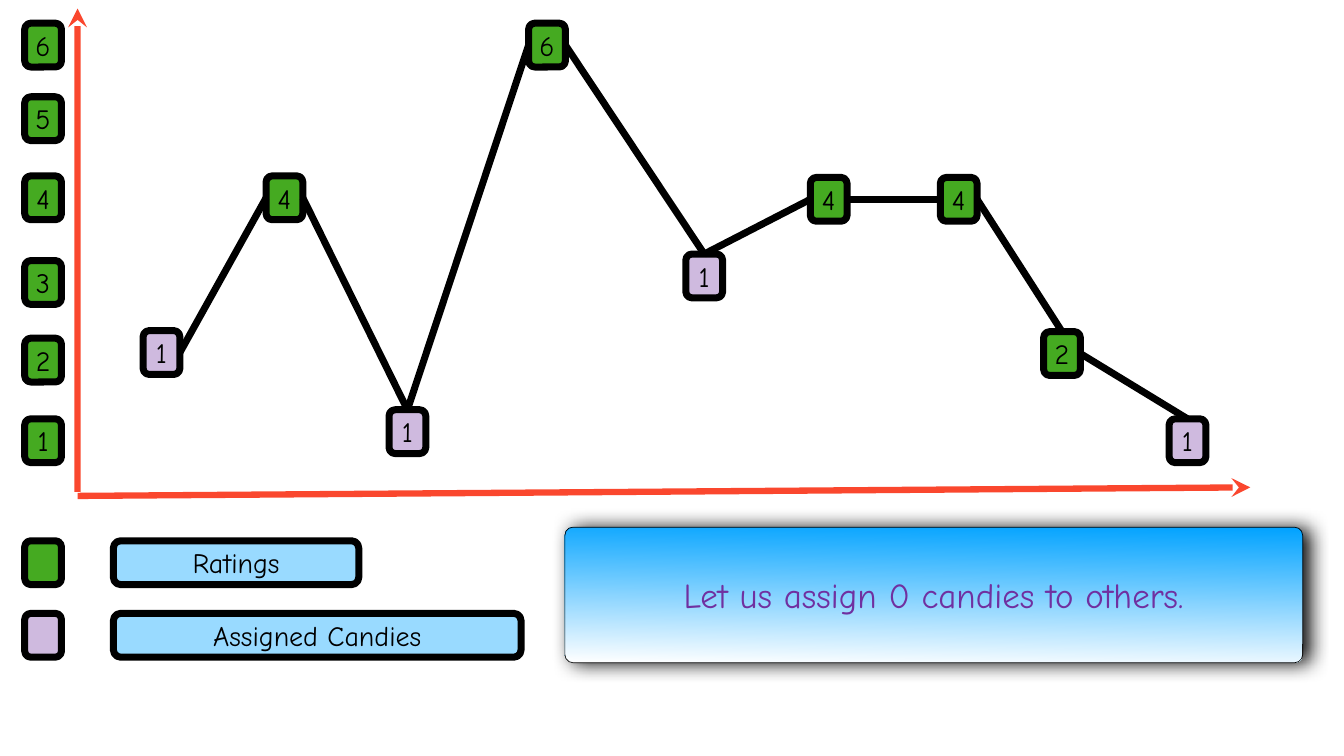
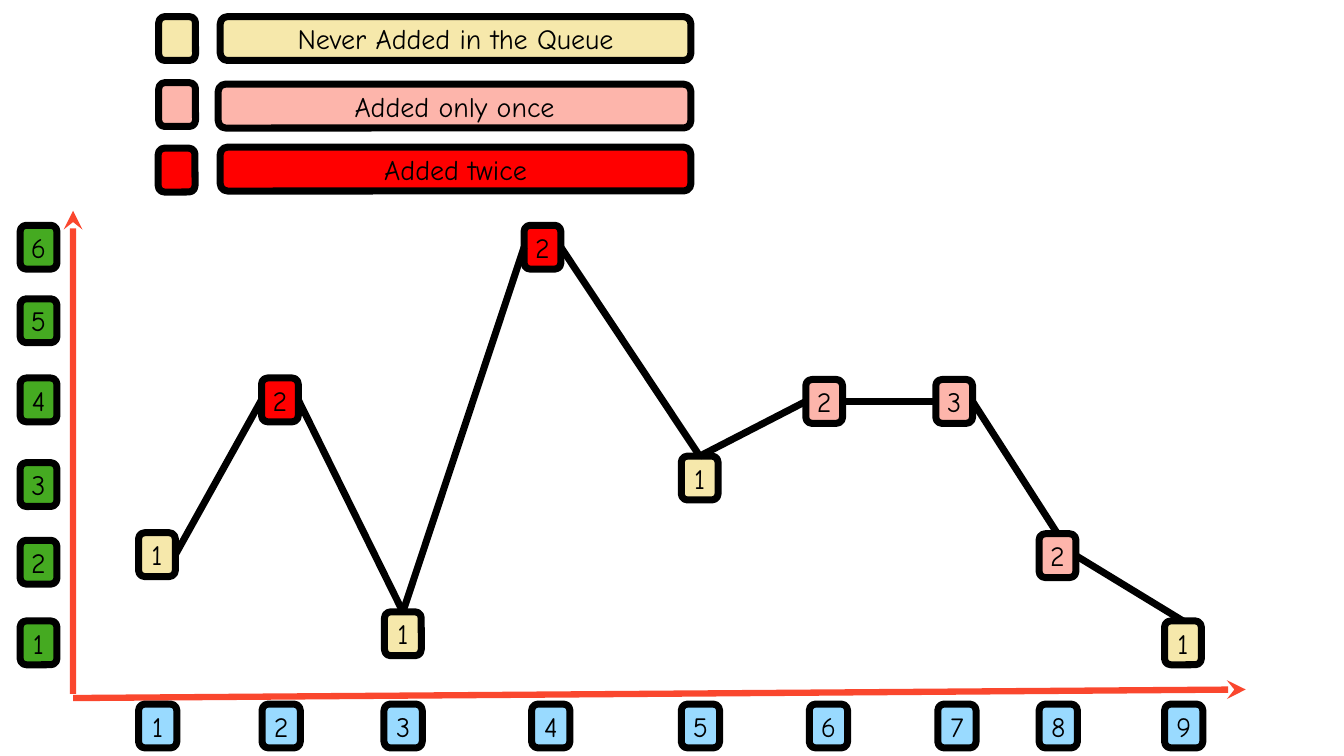
from dataclasses import dataclass
from enum import IntEnum
from typing import NamedTuple

from lxml.etree import SubElement
from pptx import Presentation
from pptx.dml.color import RGBColor
from pptx.enum.shapes import MSO_CONNECTOR, MSO_SHAPE
from pptx.enum.text import MSO_ANCHOR, MSO_AUTO_SIZE, PP_ALIGN
from pptx.oxml.ns import qn
from pptx.shapes.autoshape import Shape
from pptx.shapes.connector import Connector
from pptx.slide import Slide
from pptx.util import Inches, Pt

# Colours
BLACK = RGBColor(0x00, 0x00, 0x00)
WHITE = RGBColor(0xFF, 0xFF, 0xFF)
GREEN = RGBColor(0x45, 0xAA, 0x21)
PURPLE = RGBColor(0x70, 0x30, 0xA0)
SKY = RGBColor(0x99, 0xDA, 0xFF)
BLUE = RGBColor(0x00, 0xA2, 0xFF)
GOLD = RGBColor(0xE5, 0xBA, 0x00)
ORANGE_RED = RGBColor(0xFA, 0x1F, 0x00)
RED = RGBColor(0xFF, 0x00, 0x00)

FONT = "Comic Neue"
TILE_WIDTH, TILE_HEIGHT = 0.73, 0.87
INSET = Inches(0.06)


class Paint(NamedTuple):
    color: RGBColor
    opacity: int = 100


RATING = Paint(GREEN)
CANDY = Paint(PURPLE, 33)
LABEL = Paint(SKY)
NEVER = Paint(GOLD, 33)
ONCE = Paint(ORANGE_RED, 33)
TWICE = Paint(RED)
AXIS = Paint(ORANGE_RED, 82)
INK = Paint(BLACK)


class Side(IntEnum):
    """Connection sites of a rounded rectangle."""
    TOP = 0
    LEFT = 1
    RIGHT = 3


class Point(NamedTuple):
    x: float
    y: float


class Link(NamedTuple):
    start: int
    start_side: Side
    end: int
    end_side: Side


class Child(NamedTuple):
    value: str
    paint: Paint


@dataclass(frozen=True)
class LegendEntry:
    text: str
    key_paint: Paint
    label_paint: Paint
    key: Point
    label: Point
    label_width: float


# Rating graph, placed relative to the first slide
CHILD_POINTS = [
    Point(2.84, 6.56), Point(5.28, 3.49), Point(7.72, 8.13),
    Point(10.49, 0.46), Point(13.61, 5.04), Point(16.08, 3.52),
    Point(18.66, 3.52), Point(20.71, 6.58), Point(23.2, 8.31),
]
RATING_TOPS = [8.31, 6.71, 5.17, 3.49, 1.92, 0.46]
LINKS = [
    Link(0, Side.RIGHT, 1, Side.LEFT),
    Link(2, Side.TOP, 1, Side.RIGHT),
    Link(2, Side.TOP, 3, Side.LEFT),
    Link(4, Side.TOP, 3, Side.RIGHT),
    Link(4, Side.TOP, 5, Side.LEFT),
    Link(5, Side.RIGHT, 6, Side.LEFT),
    Link(7, Side.TOP, 6, Side.RIGHT),
    Link(7, Side.RIGHT, 8, Side.TOP),
]
AXES = [(Point(1.54, 9.76), Point(1.54, 0.17)),
        (Point(1.54, 9.84), Point(24.81, 9.67))]

# Values of the children on each slide
ASSIGNED = [
    Child("1", CANDY), Child("4", RATING), Child("1", CANDY),
    Child("6", RATING), Child("1", CANDY), Child("4", RATING),
    Child("4", RATING), Child("2", RATING), Child("1", CANDY),
]
QUEUED = [
    Child("1", NEVER), Child("2", TWICE), Child("1", NEVER),
    Child("2", TWICE), Child("1", NEVER), Child("2", ONCE),
    Child("3", ONCE), Child("2", ONCE), Child("1", NEVER),
]
INDEX_LEFTS = [2.75, 5.2, 7.62, 10.55, 13.52, 16.06, 18.61, 20.62, 23.11]

CANDY_LEGEND = [
    LegendEntry("Ratings", RATING, LABEL,
                Point(0.49, 10.73), Point(2.25, 10.73), 4.87),
    LegendEntry("Assigned Candies", CANDY, LABEL,
                Point(0.49, 12.17), Point(2.25, 12.17), 8.09),
]
QUEUE_LEGEND = [
    LegendEntry("Never Added in the Queue", NEVER, NEVER,
                Point(3.15, 0.33), Point(4.37, 0.33), 9.34),
    LegendEntry("Added only once", ONCE, ONCE,
                Point(3.15, 1.64), Point(4.33, 1.67), 9.38),
    LegendEntry("Added twice", TWICE, TWICE,
                Point(3.14, 2.94), Point(4.37, 2.92), 9.34),
]


def apply_paint(fill, paint: Paint) -> None:
    fill.solid()
    fill.fore_color.rgb = paint.color
    if paint.opacity < 100:
        color = fill._xPr.find(qn("a:solidFill"))[0]
        SubElement(color, qn("a:alpha"), val=str(paint.opacity * 1000))


def write_text(shape: Shape, text: str, *, size: int = 40,
               color: RGBColor = BLACK, grow: bool = True) -> None:
    frame = shape.text_frame
    frame.word_wrap = True
    frame.vertical_anchor = MSO_ANCHOR.MIDDLE
    frame.margin_left = frame.margin_right = INSET
    frame.margin_top = frame.margin_bottom = INSET
    if grow:
        frame.auto_size = MSO_AUTO_SIZE.SHAPE_TO_FIT_TEXT
    paragraph = frame.paragraphs[0]
    paragraph.alignment = PP_ALIGN.CENTER
    run = paragraph.add_run()
    run.text = text
    run.font.name = FONT
    run.font.size = Pt(size)
    run.font.color.rgb = color


def add_tile(slide: Slide, at: Point, paint: Paint, text: str = "",
             width: float = TILE_WIDTH) -> Shape:
    tile = slide.shapes.add_shape(
        MSO_SHAPE.ROUNDED_RECTANGLE, Inches(at.x), Inches(at.y),
        Inches(width), Inches(TILE_HEIGHT))
    tile.shadow.inherit = False
    apply_paint(tile.fill, paint)
    apply_paint(tile.line.fill, INK)
    tile.line.width = Pt(10)
    if text:
        write_text(tile, text)
    return tile


def add_line(slide: Slide, start: Point, end: Point, paint: Paint = INK,
             width: int = 10, arrow: bool = False) -> Connector:
    line = slide.shapes.add_connector(
        MSO_CONNECTOR.STRAIGHT, Inches(start.x), Inches(start.y),
        Inches(end.x), Inches(end.y))
    line.line.width = Pt(width)
    apply_paint(line.line.fill, paint)
    properties = line._element.spPr
    if arrow:
        SubElement(properties.find(qn("a:ln")), qn("a:tailEnd"), type="stealth")
    SubElement(properties, qn("a:effectLst"))
    return line


def add_graph(slide: Slide, children: list[Child],
              offset: Point = Point(0, 0)) -> None:
    def moved(point: Point) -> Point:
        return Point(point.x + offset.x, point.y + offset.y)

    tiles = [add_tile(slide, moved(point), child.paint, child.value)
             for point, child in zip(CHILD_POINTS, children)]
    for start, end in AXES:
        add_line(slide, moved(start), moved(end), AXIS, width=9, arrow=True)
    for rating, top in enumerate(RATING_TOPS, start=1):
        add_tile(slide, moved(Point(0.49, top)), RATING, str(rating))
    for link in LINKS:
        line = add_line(slide, CHILD_POINTS[link.start], CHILD_POINTS[link.end])
        line.begin_connect(tiles[link.start], link.start_side)
        line.end_connect(tiles[link.end], link.end_side)


def add_legend(slide: Slide, entries: list[LegendEntry]) -> None:
    for entry in entries:
        add_tile(slide, entry.key, entry.key_paint)
        add_tile(slide, entry.label, entry.label_paint, entry.text,
                 entry.label_width)


def add_message(slide: Slide, text: str) -> None:
    panel = slide.shapes.add_shape(
        MSO_SHAPE.ROUNDED_RECTANGLE, Inches(11.21), Inches(10.46),
        Inches(14.64), Inches(2.69))
    panel.adjustments[0] = 0.06
    panel.fill.gradient()
    panel.fill.gradient_angle = 269
    for stop, color in zip(panel.fill.gradient_stops, (BLUE, WHITE)):
        stop.color.rgb = color
    apply_paint(panel.line.fill, INK)
    panel.line.width = Pt(1)
    # Soft shadow to the right
    panel.shadow.inherit = False
    effects = panel._element.spPr.find(qn("a:effectLst"))
    shadow = SubElement(effects, qn("a:outerShdw"), blurRad=str(Pt(28)),
                        dist=str(Pt(9)), dir="0", rotWithShape="0")
    shade = SubElement(shadow, qn("a:srgbClr"), val=str(BLACK))
    SubElement(shade, qn("a:alpha"), val="97000")
    write_text(panel, text, size=50, color=PURPLE, grow=False)


def main() -> None:
    deck = Presentation()
    deck.slide_width, deck.slide_height = Inches(26.67), Inches(15)
    blank = deck.slide_layouts[6]

    # Candies assigned to the lowest ratings
    candies = deck.slides.add_slide(blank)
    add_graph(candies, ASSIGNED)
    add_legend(candies, CANDY_LEGEND)
    add_message(candies, "Let us assign 0 candies to others.")

    # How often each child joins the queue
    queue = deck.slides.add_slide(blank)
    add_graph(queue, QUEUED, Point(-0.09, 4.01))
    for index, left in enumerate(INDEX_LEFTS, start=1):
        add_tile(queue, Point(left, 13.97), LABEL, str(index), width=0.76)
    add_legend(queue, QUEUE_LEGEND)

    deck.save("out.pptx")


if __name__ == "__main__":
    main()
